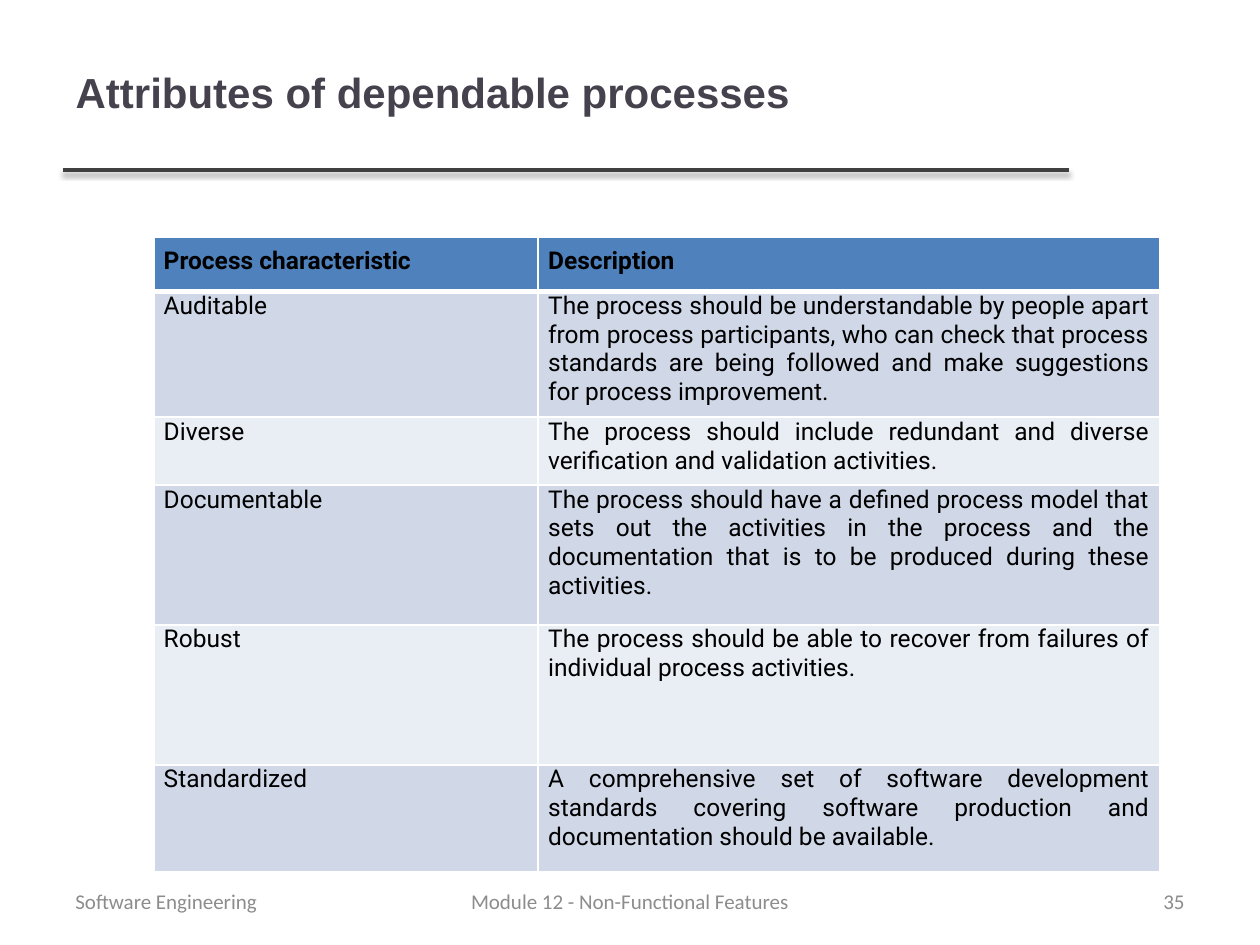
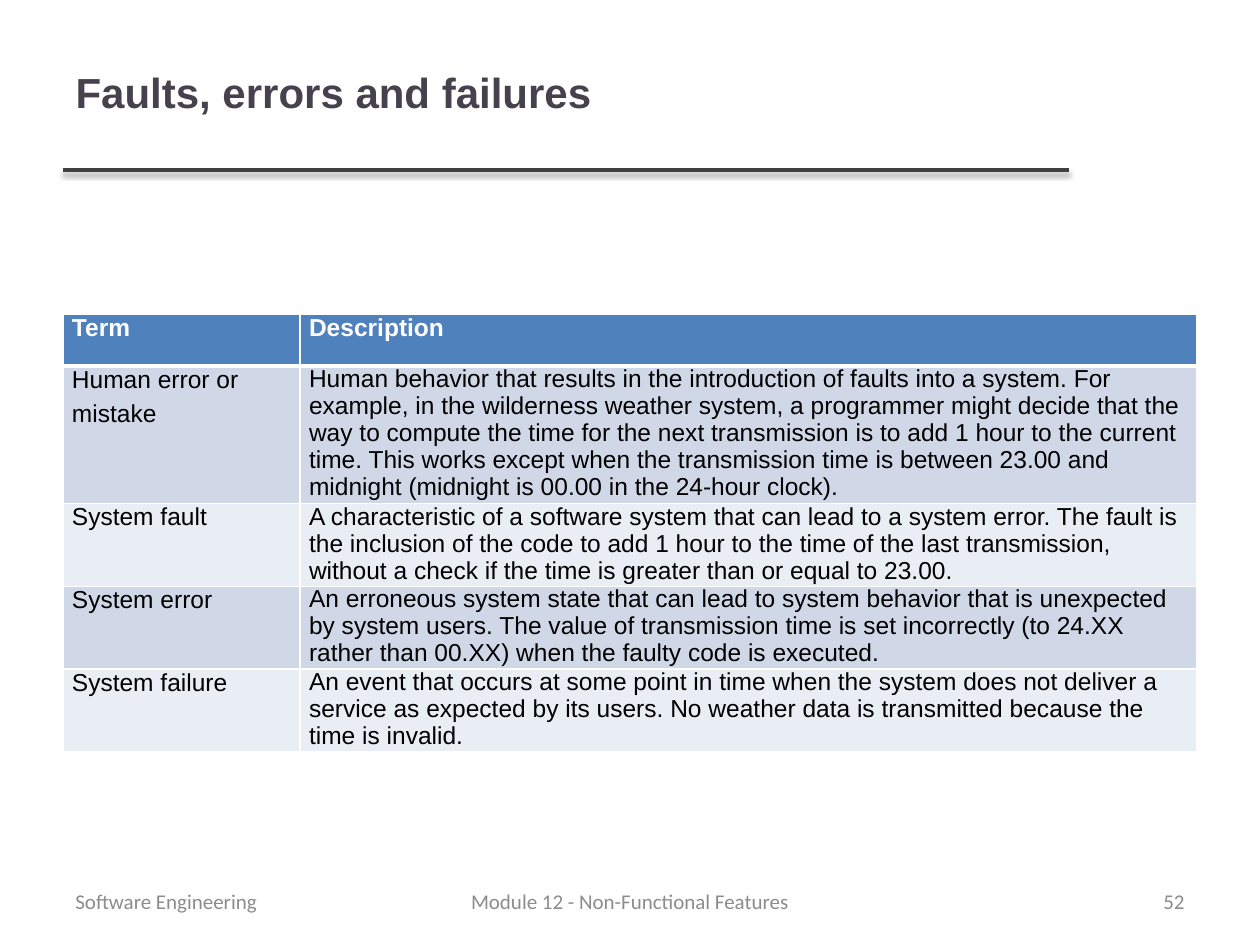
from dataclasses import dataclass
from typing import NamedTuple

from lxml.etree import SubElement
from pptx import Presentation
from pptx.dml.color import RGBColor
from pptx.enum.shapes import MSO_CONNECTOR
from pptx.enum.text import MSO_ANCHOR, MSO_AUTO_SIZE, PP_ALIGN
from pptx.oxml import parse_xml
from pptx.oxml.ns import nsdecls, qn
from pptx.util import Cm, Pt


@dataclass(frozen=True)
class Theme:
    title: str = "46424D"
    rule: str = "404040"
    footer: str = "8C8C8C"
    header: str = "4F81BD"
    bands: tuple = ("D0D8E8", "E9EDF4")
    black: str = "000000"
    white: str = "FFFFFF"
    title_font: str = "Arial"
    footer_font: str = "Calibri"
    title_size: int = 24
    table_size: int = 14
    footer_size: int = 12


class Box(NamedTuple):
    """A region of the slide, in centimetres."""
    left: float
    top: float
    width: float
    height: float

    def emu(self):
        return [Cm(v) for v in self]


@dataclass(frozen=True)
class TableStyle:
    font: str
    header_color: str
    side: float
    header_top: float
    bottom: float
    align: PP_ALIGN = PP_ALIGN.LEFT
    before: int = 0
    after: int = 0
    line_spacing: float = 1.0   # description column only


THEME = Theme()
TITLE_BOX = Box(1.27, 0.25, 20.27, 3.18)
FOOTER_BOX = Box(1.27, 17.65, 22.86, 1.02)
PROCESS_STYLE = TableStyle("Roboto", THEME.black, 0.2, 0.2, 0.2,
                           align=PP_ALIGN.JUSTIFY, before=6)
FAULT_STYLE = TableStyle("Arial", THEME.white, 0.18, 0, 0,
                         after=4, line_spacing=0.98)


def rgb(value):
    return RGBColor.from_string(value)


def format_runs(p, font, size, color, bold=False):
    for r in p.runs:
        r.font.name = font
        r.font.size = Pt(size)
        r.font.bold = bold
        r.font.color.rgb = rgb(color)


def add_rule(layout, s, box):
    """Draw the shadowed rule under the title box and keep it on the layout."""
    y = Cm(box.top + box.height)
    line = s.shapes.add_connector(MSO_CONNECTOR.STRAIGHT, Cm(box.left), y,
                                  Cm(box.left + box.width), y)
    line.line.color.rgb = rgb(THEME.rule)
    line.line.width = Pt(2)
    line._element.spPr.append(parse_xml(
        f'<a:effectLst {nsdecls("a")}>'
        '<a:outerShdw blurRad="40000" dist="20000" dir="5400000" rotWithShape="0">'
        f'<a:srgbClr val="{THEME.black}"><a:alpha val="38000"/></a:srgbClr>'
        '</a:outerShdw></a:effectLst>'))
    layout.shapes._spTree.append(line._element)


def add_title(s, box, text):
    sp = s.shapes.title
    sp.left, sp.top, sp.width, sp.height = box.emu()
    tf = sp.text_frame
    tf.text = text
    tf.word_wrap = True
    tf.auto_size = MSO_AUTO_SIZE.NONE
    tf.vertical_anchor = MSO_ANCHOR.MIDDLE
    p = tf.paragraphs[0]
    p.alignment = PP_ALIGN.LEFT
    format_runs(p, THEME.title_font, THEME.title_size, THEME.title, True)


def add_footer(s, box, number):
    """Course at the left, module in the centre, page number at the right."""
    side, middle = 5.92, 8.05
    parts = [
        ("Software Engineering", 0, side, PP_ALIGN.LEFT),
        ("Module 12 - Non-Functional Features", (box.width - middle) / 2,
         middle, PP_ALIGN.CENTER),
        (str(number), box.width - side, side, PP_ALIGN.RIGHT),
    ]
    for text, offset, width, align in parts:
        part = Box(box.left + offset, box.top, width, box.height)
        tf = s.shapes.add_textbox(*part.emu()).text_frame
        tf.text = text
        tf.word_wrap = True
        tf.vertical_anchor = MSO_ANCHOR.MIDDLE
        p = tf.paragraphs[0]
        p.alignment = align
        format_runs(p, THEME.footer_font, THEME.footer_size, THEME.footer)


def set_borders(cell, bottom):
    """White lines on all sides; they must precede the fill."""
    tcPr = cell._tc.get_or_add_tcPr()
    widths = {"lnL": 1, "lnR": 1, "lnT": 1, "lnB": bottom}
    for tag, width in widths.items():
        ln = SubElement(tcPr, qn(f"a:{tag}"), w=str(Pt(width)))
        fill = SubElement(ln, qn("a:solidFill"))
        SubElement(fill, qn("a:srgbClr"), val=THEME.white)


def fill_cell(cell, text, style, row, col):
    header = row == 0
    set_borders(cell, 3 if header else 1)
    cell.fill.solid()
    cell.fill.fore_color.rgb = rgb(
        THEME.header if header else THEME.bands[(row - 1) % 2])
    cell.margin_left = cell.margin_right = Cm(style.side)
    cell.margin_top = Cm(style.header_top if header else 0)
    cell.margin_bottom = Cm(style.bottom)
    cell.vertical_anchor = MSO_ANCHOR.TOP
    cell.text_frame.text = text
    for p in cell.text_frame.paragraphs:
        p.alignment = style.align
        if not header:
            p.space_before = Pt(style.before)
            p.space_after = Pt(style.after)
            if col == 1:
                p.line_spacing = style.line_spacing
        format_runs(p, style.font, THEME.table_size,
                    style.header_color if header else THEME.black, header)


def add_text_table(s, box, first_width, heights, rows, style):
    """Two-column table: a term and its description."""
    table = s.shapes.add_table(len(rows), 2, *box.emu()).table
    for column, width in zip(table.columns, (first_width, box.width - first_width)):
        column.width = Cm(width)
    for i, (height, texts) in enumerate(zip(heights, rows)):
        table.rows[i].height = Cm(height)
        for j, text in enumerate(texts):
            fill_cell(table.cell(i, j), text, style, i, j)


def add_table_slide(prs, layout, title, number, left, top, widths, heights,
                    rows, style):
    s = prs.slides.add_slide(layout)
    add_title(s, TITLE_BOX, title)
    box = Box(left, top, sum(widths), sum(heights))
    add_text_table(s, box, widths[0], heights, rows, style)
    add_footer(s, FOOTER_BOX, number)
    return s


PROCESS_ROWS = [
    ("Process characteristic", "Description"),
    ("Auditable",
     "The process should be understandable by people apart from process "
     "participants, who can check that process standards are being followed "
     "and make suggestions for process improvement."),
    ("Diverse",
     "The process should include redundant and diverse verification and "
     "validation activities."),
    ("Documentable",
     "The process should have a defined process model that sets out the "
     "activities in the process and the documentation that is to be produced "
     "during these activities."),
    ("Robust",
     "The process should be able to recover from failures of individual "
     "process activities."),
    ("Standardized",
     "A comprehensive set of software development standards covering software "
     "production and documentation should be available."),
]

FAULT_ROWS = [
    ("Term", "Description"),
    ("Human error or\nmistake",
     "Human behavior that results in the introduction of faults into a system. "
     "For example, in the wilderness weather system, a programmer might decide "
     "that the way to compute the time for the next transmission is to add 1 "
     "hour to the current time. This works except when the transmission time "
     "is between 23.00 and midnight (midnight is 00.00 in the 24-hour clock)."),
    ("System fault",
     "A characteristic of a software system that can lead to a system error. "
     "The fault is the inclusion of the code to add 1 hour to the time of the "
     "last transmission, without a check if the time is greater than or equal "
     "to 23.00."),
    ("System error",
     "An erroneous system state that can lead to system behavior that is "
     "unexpected by system users. The value of transmission time is set "
     "incorrectly (to 24.XX rather than 00.XX) when the faulty code is "
     "executed."),
    ("System failure",
     "An event that occurs at some point in time when the system does not "
     "deliver a service as expected by its users. No weather data is "
     "transmitted because the time is invalid."),
]

prs = Presentation()
prs.slide_width, prs.slide_height = Cm(25.4), Cm(19.05)
layout = prs.slide_layouts[5]   # Title Only

# Slide 1: process attributes
s = add_table_slide(prs, layout, "Attributes of dependable processes", 35,
                    3.1, 4.78, (7.75, 12.52),
                    (1.09, 2.54, 1.37, 2.82, 2.82, 2.16),
                    PROCESS_ROWS, PROCESS_STYLE)
add_rule(layout, s, TITLE_BOX)

# Slide 2: fault terminology
add_table_slide(prs, layout, "Faults, errors and failures", 52,
                1.27, 6.34, (4.78, 18.08), (1.04, 2.77, 1.67, 1.67, 1.67),
                FAULT_ROWS, FAULT_STYLE)

prs.save("out.pptx")
